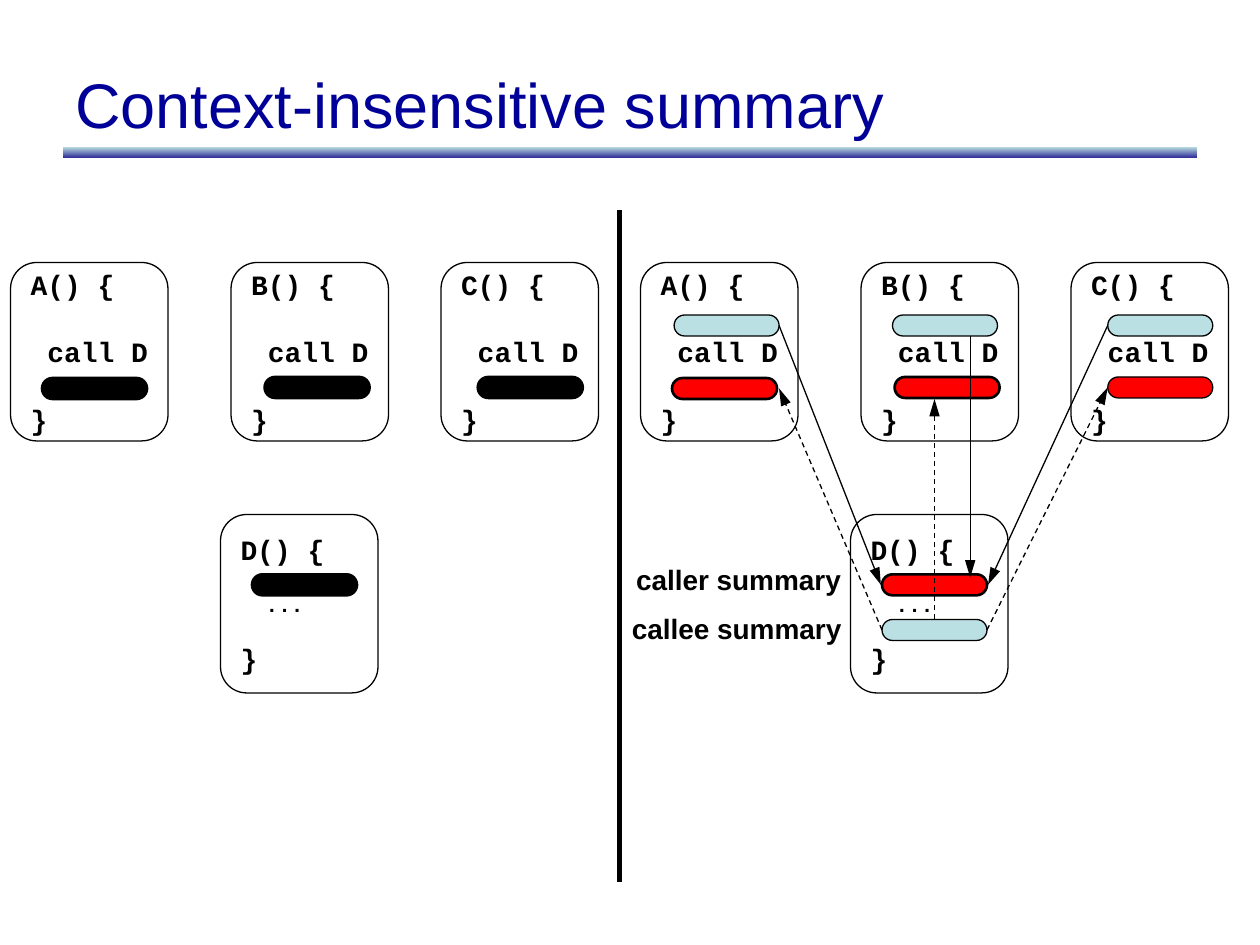
import pptx
import pptx.util
import pptx.dml.color
import pptx.enum.dml
import pptx.enum.shapes
import pptx.enum.text
import pptx.oxml.ns
import lxml.etree

# Content: code lines are (text, size, space before)
TITLE = "Context-insensitive summary"
CALLER_BODY = [(" call D", 16, 19.3), ("}", 16, 19.3)]
CALLEE_BODY = [("  ...", 12, 14.5), ("}", 16, 14.5)]

# Places are (column, row) on a grid of 120 by 90 cells
PROCEDURES = {
    "A": dict(at=(1, 25), body=CALLER_BODY, known=(4.2, 30), found=(4, 36), edge=1.5),
    "B": dict(at=(22, 25), body=CALLER_BODY, known=(25, 30), found=(25.2, 35.9), edge=1.5),
    "C": dict(at=(42, 25), body=CALLER_BODY, known=(45.5, 30), found=(45.5, 35.9), edge=0.75),
    "D": dict(at=(21, 49), body=CALLEE_BODY, known=(24, 59), found=(24, 54.7), edge=1.5),
}
LABELS = [("caller summary", (59.4, 53), (21.8, 4.4)), ("callee summary", (59, 57.6), (22.3, 4.4))]
CALLS = [((92.4, 32), (92.4, 55)), ((74.2, 31), (83.9, 55.7)), ((105.5, 31), (94.1, 55.7))]
RETURNS = [((89, 59), (89, 38)), ((84, 60), (74.2, 37)), ((94, 60), (105.5, 36.9))]
PANEL_SHIFT = 60
BOX, BAR = (15, 17), (10, 2)

COLORS = {"ink": "000000", "title": "000099", "pale": "BBE0E3", "deep": "333399", "red": "FF0000"}
CODE = {"name": "Courier New", "bold": True}
LABEL = {"name": "Arial", "bold": True, "size": pptx.util.Pt(16)}
HEADING = {"name": "Arial", "bold": False, "size": pptx.util.Pt(36)}
MIDDLE = pptx.enum.text.MSO_ANCHOR.MIDDLE
CODE_FRAME = {"word_wrap": True, "vertical_anchor": MIDDLE,
              "margin_top": 0, "margin_bottom": 0, "margin_right": 0}
TEXT_FRAME = {"word_wrap": True, "vertical_anchor": MIDDLE, "margin_right": 0}
ARROWHEAD = {"type": "triangle", "w": "med", "len": "lg"}

deck = pptx.Presentation()
deck.slide_width, deck.slide_height = pptx.util.Inches(10), pptx.util.Inches(7.5)
slide = deck.slides.add_slide(deck.slide_layouts[6])
KINDS = pptx.enum.shapes.MSO_SHAPE


def rgb(color):
    return pptx.dml.color.RGBColor.from_string(COLORS[color])


def grid(place):
    return int(deck.slide_width * place[0] / 120), int(deck.slide_height * place[1] / 90)


def apply(target, values):
    for key, value in values.items():
        setattr(target, key, value)


def style(paragraph, values, color="ink"):
    apply(paragraph.font, values)
    paragraph.font.color.rgb = rgb(color)


def outline(line, width):
    line.color.rgb = rgb("ink")
    line.width = pptx.util.Pt(width)


def add_box(kind, at, size, fill=None, edge=0.75):
    box = slide.shapes.add_shape(kind, *grid(at), *grid(size))
    box.shadow.inherit = False
    if fill:
        box.fill.solid()
        box.fill.fore_color.rgb = rgb(fill)
    else:
        box.fill.background()
    outline(box.line, edge)
    return box


def add_bar(at, fill, edge=0.75):
    bar = add_box(KINDS.ROUNDED_RECTANGLE, at, BAR, fill, edge)
    bar.adjustments[0] = 0.5


def add_procedure(name, procedure, shift):
    column, row = procedure["at"]
    frame = add_box(KINDS.ROUNDED_RECTANGLE, (column + shift, row), BOX).text_frame
    apply(frame, CODE_FRAME)
    for index, (text, size, gap) in enumerate([(name + "() {", 16, 0)] + procedure["body"]):
        line = frame.add_paragraph() if index else frame.paragraphs[0]
        line.text = text
        line.alignment = pptx.enum.text.PP_ALIGN.LEFT
        if gap:
            line.space_before = pptx.util.Pt(gap)
        style(line, {**CODE, "size": pptx.util.Pt(size)})


def add_line(start, end, width=0.75, dashed=False, arrow=True):
    link = slide.shapes.add_connector(pptx.enum.shapes.MSO_CONNECTOR.STRAIGHT, *grid(start), *grid(end))
    outline(link.line, width)
    if dashed:
        link.line.dash_style = pptx.enum.dml.MSO_LINE.DASH
    if arrow:
        lxml.etree.SubElement(link.line._get_or_add_ln(), pptx.oxml.ns.qn("a:tailEnd"), ARROWHEAD)
    lxml.etree.SubElement(link._element.spPr, pptx.oxml.ns.qn("a:effectLst"))


def add_text(text, at, size, values, color="ink"):
    frame = slide.shapes.add_textbox(*grid(at), *grid(size)).text_frame
    apply(frame, TEXT_FRAME)
    frame.paragraphs[0].text = text
    style(frame.paragraphs[0], values, color)


# Title with its gradient rule
rule = add_box(KINDS.RECTANGLE, (6, 14), (108, 1))
rule.line.fill.background()
rule.fill.gradient()
rule.fill.gradient_angle = 270
for stop, position, color in zip(rule.fill.gradient_stops, (0, 1), ("pale", "deep")):
    stop.position = position
    stop.color.rgb = rgb(color)
add_text(TITLE, (6, 3.6), (108, 12.4), HEADING, "title")

# Procedures: plain on the left, summaries on the right
for name, procedure in PROCEDURES.items():
    add_procedure(name, procedure, 0)
    add_bar(procedure["found"], "ink", 1.5)
    add_procedure(name, procedure, PANEL_SHIFT)
    for role, fill, edge in (("known", "pale", 0.75), ("found", "red", procedure["edge"])):
        column, row = procedure[role]
        add_bar((column + PANEL_SHIFT, row), fill, edge)

# Flow between callers and callee
for links, dashed in ((CALLS, False), (RETURNS, True)):
    for start, end in links:
        add_line(start, end, dashed=dashed)

# Labels and divider
for text, at, size in LABELS:
    add_text(text, at, size, LABEL)
add_line((59, 20), (59, 84), width=3, arrow=False)

deck.save("out.pptx")
